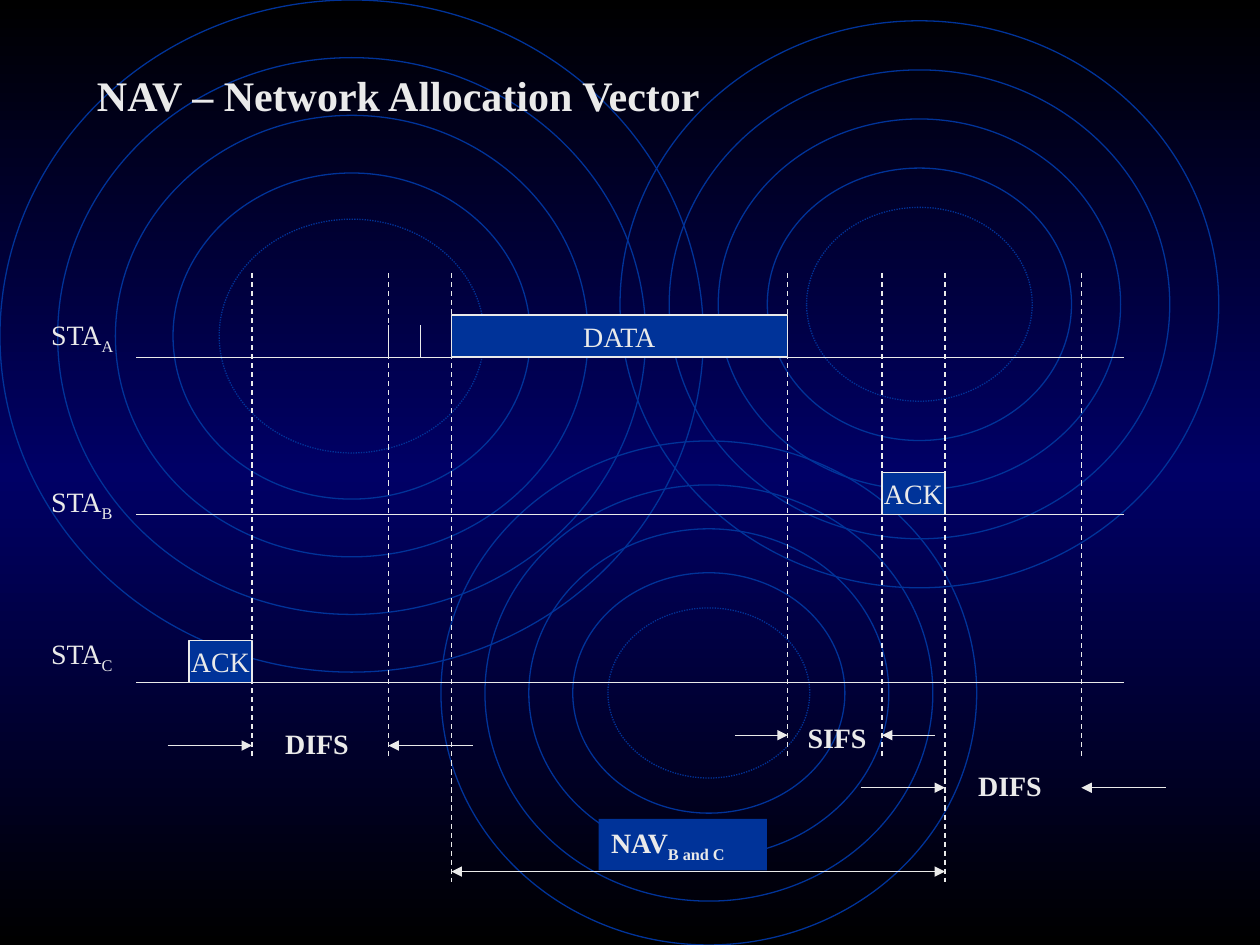
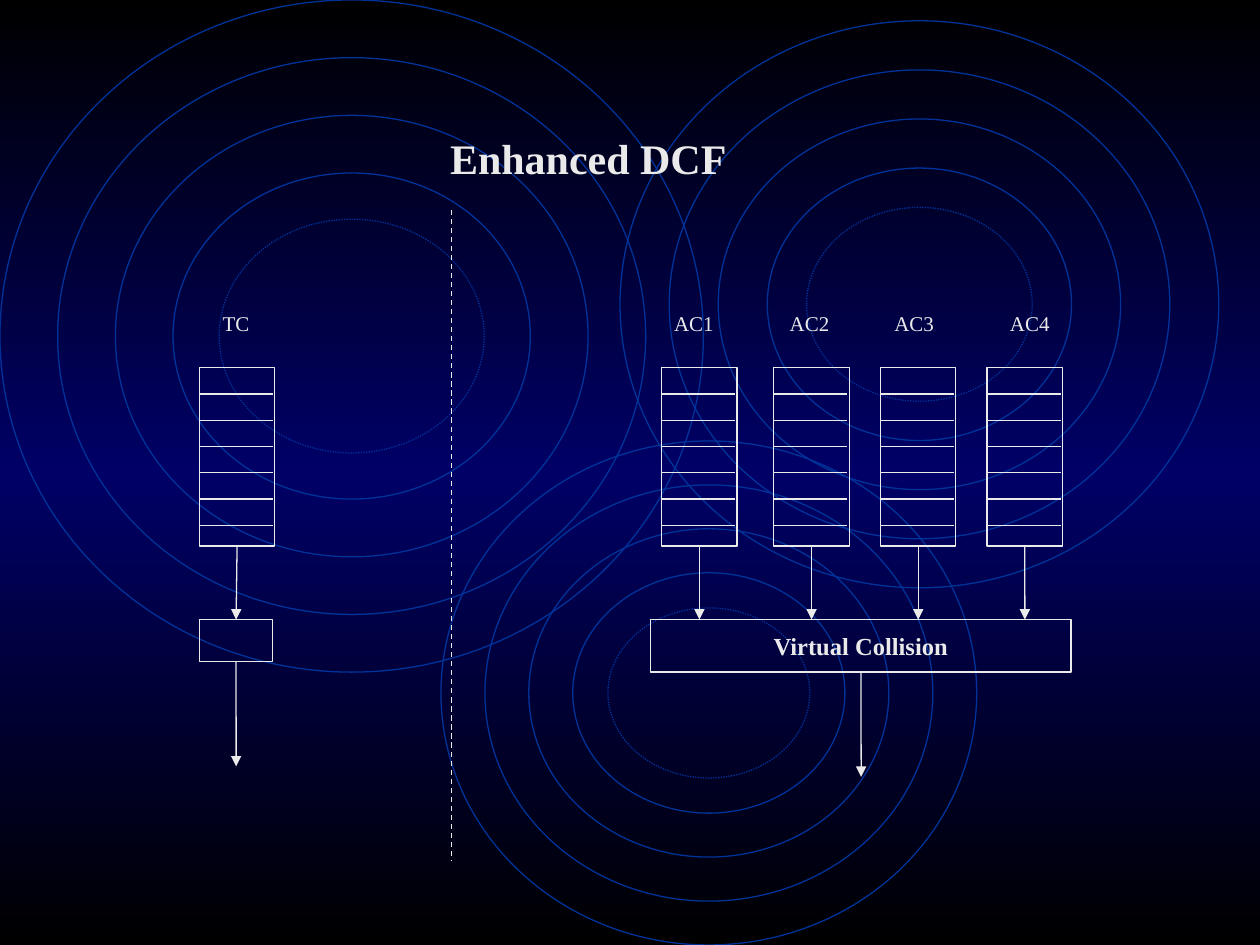
from copy import deepcopy

from lxml import etree
from pptx import Presentation
from pptx.dml.color import RGBColor
from pptx.enum.dml import MSO_LINE
from pptx.enum.shapes import MSO_CONNECTOR, MSO_SHAPE
from pptx.enum.text import MSO_ANCHOR, MSO_AUTO_SIZE, PP_ALIGN
from pptx.oxml.ns import qn
from pptx.util import Cm, Pt

BLACK = RGBColor(0x00, 0x00, 0x00)
NAVY = RGBColor(0x00, 0x00, 0x66)
BLUE = RGBColor(0x00, 0x33, 0x99)
PALE = RGBColor(0xEA, 0xEA, 0xEA)
RECT, OVAL = MSO_SHAPE.RECTANGLE, MSO_SHAPE.OVAL
STRAIGHT = MSO_CONNECTOR.STRAIGHT
DASH, DOT = MSO_LINE.DASH, MSO_LINE.ROUND_DOT
TOP, MIDDLE = MSO_ANCHOR.TOP, MSO_ANCHOR.MIDDLE
LEFT, CENTER = PP_ALIGN.LEFT, PP_ALIGN.CENTER
NO_FIT = MSO_AUTO_SIZE.NONE
THIN = Pt(0.75)
TITLE = {"name": "Times New Roman", "size": Pt(24), "bold": True}
MAIN = {"name": "Times New Roman", "size": Pt(16), "bold": False}
BOLD = {**MAIN, "bold": True}
SMALL = {**MAIN, "size": Pt(12)}
MID = {**BOLD, "size": Pt(14)}


def box(slide, x, y, w, h, text="", sub="", style=MAIN, fill=None, edge=None,
        align=LEFT, anchor=TOP):
    """Add a rectangle, or a text box when it has neither fill nor edge."""
    area = Cm(x), Cm(y), Cm(w), Cm(h)
    if fill or edge:
        shape = slide.shapes.add_shape(RECT, *area)
        shape.shadow.inherit = False
        if fill:
            shape.fill.solid()
            shape.fill.fore_color.rgb = fill
        else:
            shape.fill.background()
        if edge:
            shape.line.color.rgb = edge
            shape.line.width = THIN
        else:
            shape.line.fill.background()
    else:
        shape = slide.shapes.add_textbox(*area)
    frame = shape.text_frame
    frame.word_wrap = align == LEFT
    frame.vertical_anchor = anchor
    par = frame.paragraphs[0]
    par.alignment = align
    for part in filter(None, (text, sub)):
        run = par.add_run()
        run.text = part
        for key, val in style.items():
            setattr(run.font, key, val)
        run.font.color.rgb = PALE
        if part == sub:
            run.font._element.set("baseline", "-25000")
    return shape


def line(slide, x1, y1, x2, y2, dash=None, ends=()):
    """Add a thin line; ends names the arrowheads, headEnd before tailEnd."""
    link = slide.shapes.add_connector(STRAIGHT, Cm(x1), Cm(y1), Cm(x2), Cm(y2))
    link.line.color.rgb = PALE
    link.line.width = THIN
    if dash:
        link.line.dash_style = dash
    props = link.element.spPr
    for end in ends:
        etree.SubElement(props.find(qn("a:ln")), qn(f"a:{end}"), type="triangle")
    etree.SubElement(props, qn("a:effectLst"))
    return link


prs = Presentation()
prs.slide_width, prs.slide_height = Cm(25.4), Cm(19.05)
master = prs.slide_master
layout = prs.slide_layouts[5]
nav, edcf = [prs.slides.add_slide(layout) for _ in range(2)]

# Shared background: black, navy, black from top to bottom
fill = master.background.fill
fill.gradient()
fill.gradient_angle = 90
stops = next(master.element.cSld.iter(qn("a:gsLst")))
stops.insert(1, deepcopy(stops[0]))
for stop, tone, pos in zip(fill.gradient_stops, (BLACK, NAVY, BLACK), (0, 0.5, 1)):
    stop.color.rgb = tone
    stop.position = pos

# Shared ripples, moved from the first slide to the master
spot = 2
for x, y, w, h in ((0, 0, 14.18, 13.55), (8.89, 8.89, 10.8, 10.16),
                   (12.5, 0.42, 12.07, 11.43)):
    for turn in (0, 1, 2, 3, 3.8):
        gap = 0.082 * w * turn
        ring = nav.shapes.add_shape(OVAL, Cm(x + gap), Cm(y + gap),
                                    Cm(w - 2 * gap), Cm(h - 2 * gap))
        ring.shadow.inherit = False
        ring.fill.background()
        ring.line.color.rgb = BLUE
        ring.line.width = THIN
        if turn == 3.8:
            ring.line.dash_style = DOT
        master.shapes.element.insert(spot, ring.element)
        spot += 1

# Titles
for slide, text, y, w, align in (
        (nav, "NAV – Network Allocation Vector", 1.27, 18.84, LEFT),
        (edcf, "Enhanced DCF", 2.54, 20.32, CENTER)):
    head = slide.shapes.title
    head.left, head.top, head.width, head.height = Cm(1.7), Cm(y), Cm(w), Cm(1.27)
    frame = head.text_frame
    frame.text = text
    frame.auto_size = NO_FIT
    frame.vertical_anchor = TOP
    par = frame.paragraphs[0]
    par.alignment = align
    for key, val in TITLE.items():
        setattr(par.font, key, val)
    par.font.color.rgb = PALE

# Slide 1: stations with their time lines and frames
for name, y, texty, x, w, text in (("A", 7.2, 6.27, 9.1, 6.77, "DATA"),
                                   ("B", 10.37, 9.65, 17.78, 1.27, "ACK"),
                                   ("C", 13.76, 12.7, 3.81, 1.27, "ACK")):
    line(nav, 2.75, y, 22.65, y)
    box(nav, x, y - 0.85, w, 0.85, text, fill=BLUE, edge=PALE,
        align=CENTER, anchor=MIDDLE)
    box(nav, 0.78, texty, 2.4, 1.04, "STA", name)

# Backoff ticks and time marks
for x in (7.83, 8.47):
    line(nav, x, 7.2, x, 6.56)
for x in (5.08, 7.83, 9.1, 15.88, 17.78, 19.05, 21.8):
    line(nav, x, 5.5, x, 17.78 if x in (9.1, 19.05) else 15.24, DASH)

# Gaps between frames, with arrows pointing inwards
for text, x, texty, y, start, stop, size in (
        ("DIFS", 5.5, 14.53, 15.03, 5.08, 7.83, 1.7),
        ("SIFS", 16.03, 14.4, 14.82, 15.88, 17.78, 1.06),
        ("DIFS", 19.47, 15.37, 15.88, 19.05, 21.8, 1.7)):
    box(nav, x, texty, 1.9, 0.94, text, style=BOLD)
    line(nav, start - size, y, start, y, ends=["tailEnd"])
    line(nav, stop + size, y, stop, y, ends=["tailEnd"])

# NAV span
box(nav, 12.07, 16.51, 3.39, 1.04, "NAV", "B and C", BOLD, fill=BLUE)
line(nav, 9.1, 17.57, 19.05, 17.57, ends=["headEnd", "tailEnd"])

# Slide 2: divider and the two lower boxes
line(edcf, 9.1, 4.23, 9.1, 17.35, DASH)
single = box(edcf, 4.02, 12.49, 1.48, 0.85, edge=PALE)
virtual = box(edcf, 13.12, 12.49, 8.47, 1.06, "Virtual Collision", style=MID,
              edge=PALE, align=CENTER, anchor=MIDDLE)

# Queues, each with an arrow down
for text, x, textx in (("TC", 4.02, 4.24), ("AC1", 13.34, 13.34),
                       ("AC2", 15.6, 15.67), ("AC3", 17.75, 17.78),
                       ("AC4", 19.9, 20.11)):
    box(edcf, textx, 6.14, 1.7, 0.77, text, style=SMALL)
    queue = box(edcf, x, 7.41, 1.52, 3.6, edge=PALE)
    for row in range(1, 7):
        y = 7.41 + 0.53 * row
        line(edcf, x, y, x + 1.48, y)
    arrow = line(edcf, x + 0.76, 11.01, x + 0.76, 12.49, ends=["tailEnd"])
    arrow.begin_connect(queue, 2)
    if text == "TC":
        arrow.end_connect(single, 0)

# Arrows out
for shape, x, y, end in ((single, 4.76, 13.34, 15.45), (virtual, 17.36, 13.55, 15.66)):
    line(edcf, x, y, x, end, ends=["tailEnd"]).begin_connect(shape, 2)

prs.save("out.pptx")
